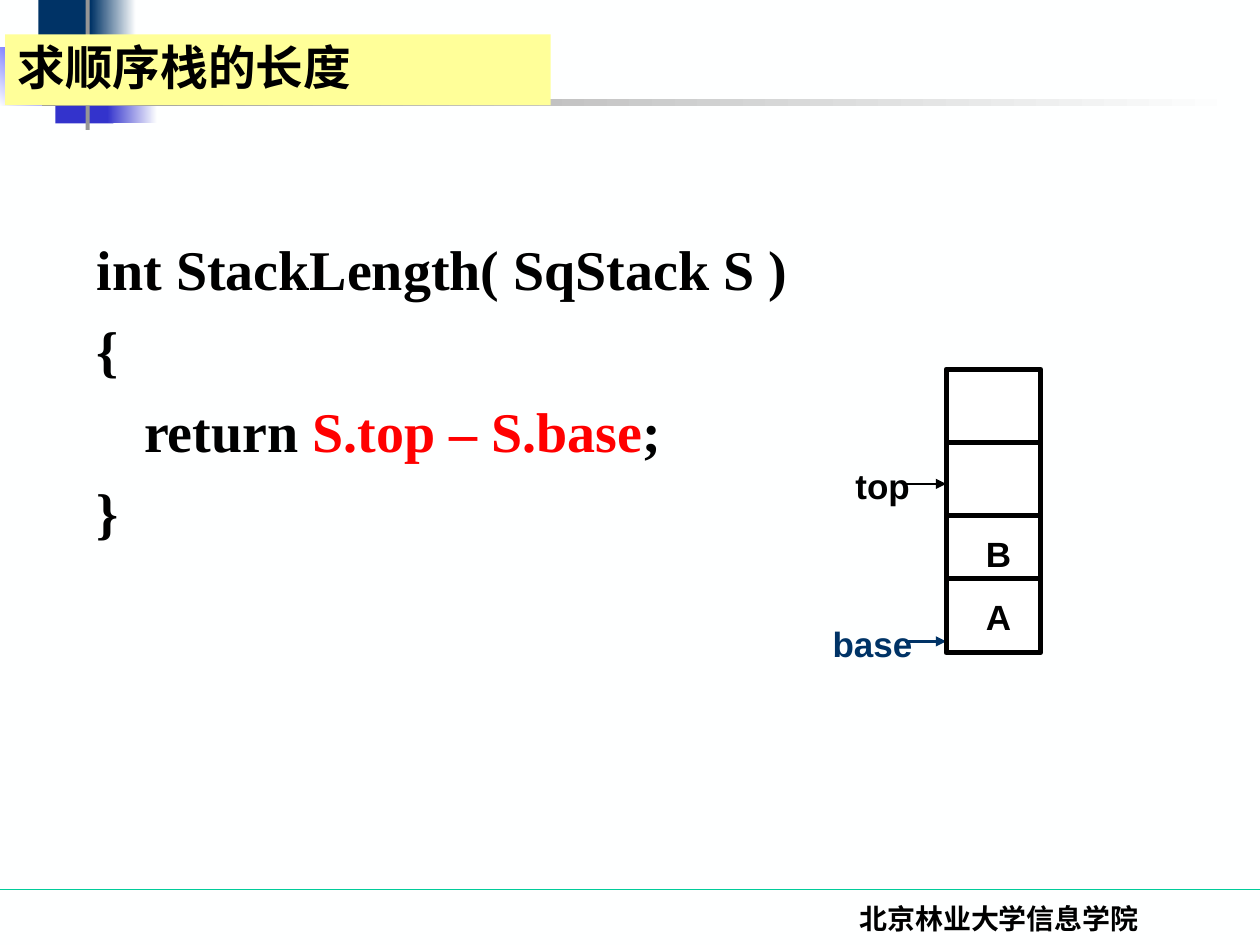
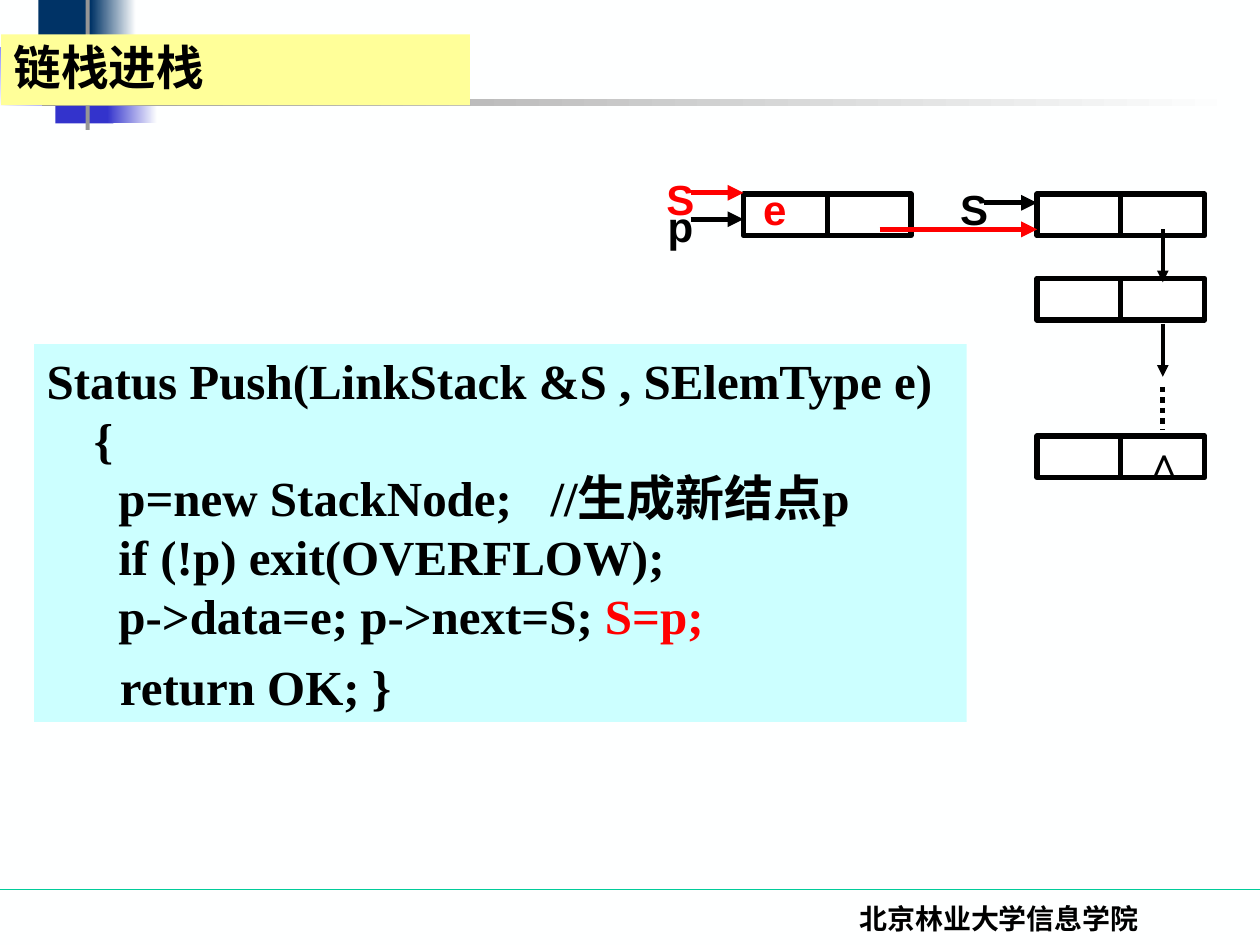
from dataclasses import dataclass

from lxml.etree import SubElement as Sub
from pptx import Presentation
from pptx.dml.color import RGBColor as Rgb
from pptx.enum.dml import MSO_LINE as Dash
from pptx.enum.shapes import MSO_CONNECTOR as Conn, MSO_SHAPE as Geo
from pptx.enum.text import MSO_ANCHOR as Anchor, PP_ALIGN as Align
from pptx.oxml.ns import qn
from pptx.util import Pt


@dataclass(frozen=True)
class Theme:
    paper: str = "FEFFFF"
    white: str = "FFFFFF"
    ink: str = "000000"
    red: str = "FF0000"
    navy: str = "003366"
    blue: str = "3333CC"
    glow: str = "0000FF"
    gray: str = "969696"
    green: str = "00CC99"
    title: str = "FFFF99"
    panel: str = "CCFFFF"
    sans: str = "Arial"
    serif: str = "Times New Roman"
    han: str = "Noto Sans CJK SC"
    head: float = 27.2
    foot: float = 16
    cell: float = 20
    node: float = 24
    thick: float = 3


T = Theme()
INDENT = 27


# Basic parts

def rect(slide, x, y, w, h, fill, end=None, angle=0, edge=None):
    """Rectangle with a plain fill, or a gradient when end is given."""
    shape = slide.shapes.add_shape(Geo.RECTANGLE, Pt(x), Pt(y), Pt(w), Pt(h))
    shape.shadow.inherit = False
    if end:
        shape.fill.gradient()
        shape.fill.gradient_angle = angle
        for stop, color in zip(shape.fill.gradient_stops, (fill, end)):
            stop.color.rgb = Rgb.from_string(color)
    else:
        shape.fill.solid()
        shape.fill.fore_color.rgb = Rgb.from_string(fill)
    if edge:
        shape.line.color.rgb = Rgb.from_string(edge)
        shape.line.width = Pt(T.thick)
    else:
        shape.line.fill.background()
    return shape


def rule(slide, x1, y1, x2, y2, color=T.ink, width=T.thick, arrow=False, dash=None):
    line = slide.shapes.add_connector(Conn.STRAIGHT, Pt(x1), Pt(y1), Pt(x2), Pt(y2))
    line.line.color.rgb = Rgb.from_string(color)
    line.line.width = Pt(width)
    if dash:
        line.line.dash_style = dash
    props = line.element.spPr
    if arrow:
        Sub(props.find(qn("a:ln")), qn("a:tailEnd"), type="triangle")
    Sub(props, qn("a:effectLst"))


def add_run(para, text, size, face, color=T.ink):
    run = para.add_run()
    run.text = text
    font = run.font
    font.size, font.bold = Pt(size), True
    font.color.rgb = Rgb.from_string(color)
    font.name = face
    if any("一" <= char <= "鿿" for char in text):
        Sub(run.font._element, qn("a:ea"), typeface=T.han)


def label(slide, x, y, w, h, text, size, face=T.sans, color=T.ink):
    """Centred one-line text box."""
    frame = slide.shapes.add_textbox(Pt(x), Pt(y), Pt(w), Pt(h)).text_frame
    frame.word_wrap = True
    para = frame.paragraphs[0]
    para.alignment = Align.CENTER
    add_run(para, text, size, face, color)


def code(shape, lines, size):
    """Each line is (indent, space before, tab stop, runs)."""
    frame = shape.text_frame
    frame.word_wrap = True
    frame.vertical_anchor = Anchor.TOP
    for num, (indent, before, tab, runs) in enumerate(lines):
        para = frame.add_paragraph() if num else frame.paragraphs[0]
        para.alignment = Align.LEFT
        para.space_before = Pt(before)
        props = para._p.get_or_add_pPr()
        props.set("marL", "0")
        props.set("indent", str(Pt(indent)))
        if tab:
            stops = Sub(props, qn("a:tabLst"))
            Sub(stops, qn("a:tab"), pos=str(Pt(tab)), algn="l")
        for text, color in runs:
            add_run(para, text, size, T.serif, color)


# Shared frame of a slide

def add_base(deck, title, x, w):
    slide = deck.slides.add_slide(deck.slide_layouts[6])
    back = slide.background.fill
    back.solid()
    back.fore_color.rgb = Rgb.from_string(T.paper)
    rule(slide, 0, 508.3, 720, 508.3, T.green, 0.75)
    # Corner blocks and the bar under the title
    rect(slide, 22, 0, 34.6, 37.4, T.navy)
    rect(slide, 51.8, 0, 25.9, 37.4, T.navy, T.paper)
    rect(slide, 31.7, 33.1, 33.1, 37.4, T.blue)
    rect(slide, 61.2, 33.1, 28.8, 37.4, T.blue, T.paper)
    rect(slide, -0.7, 27.4, 43.9, 33.1, T.paper, T.glow, 45)
    rect(slide, 49, -8.6, 2.2, 82.8, T.gray)
    rect(slide, 23.8, 56.5, 684.7, 4.1, T.gray, T.paper)
    # Footer
    label(slide, 421.9, 511.9, 298, 36, "北京林业大学信息学院", T.foot, T.serif)
    # Title band
    band = rect(slide, x, 19.6, w, 40.5, T.title)
    frame = band.text_frame
    frame.word_wrap = True
    frame.vertical_anchor = Anchor.MIDDLE
    para = frame.paragraphs[0]
    para.alignment = Align.LEFT
    para.line_spacing = 0.9
    add_run(para, title, T.head, T.han)
    return slide


# Array stack with its two pointers

def draw_stack(slide, x, y, w, h):
    for name, left, tip, color in (("base", -90, 155.5, T.navy),
                                   ("top", -84.2, 65.5, T.ink)):
        label(slide, x + left, y + tip - 14.4, 95.8, 31.7, name, T.cell, color=color)
        rule(slide, x - 23.8, y + tip, x, y + tip, color, 1.5, arrow=True)
    rect(slide, x, y, w, h, T.white, edge=T.ink)
    for split in (41.8, 83.5, 119.5):
        rule(slide, x, y + split, x + w, y + split)
    for row, name in enumerate("BA"):
        label(slide, x + 5.8, y + 90 + 36 * row, 48.2, 31.7, name, T.cell)


# Linked stack, placed from the top left of the new node

def tag(slide, x, y, text, color=T.ink):
    label(slide, x, y, 36, 36, text, T.node, color=color)


def point(slide, x, y, name, color=T.ink):
    """Named arrow whose tip is at x, y."""
    rule(slide, x - 30.2, y, x, y, color, arrow=True)
    tag(slide, x - 54, y - 14.4, name, color)


def draw_chain(slide, x, y, w, h):
    col = x + 167.8
    for left, top in ((x, 0), (col, 0), (col, 48.2), (col, 138.2)):
        rect(slide, left, y + top, w, h, T.white, edge=T.ink)
        rule(slide, left + w / 2, y + top, left + w / 2, y + top + h)
    # Links down the chain
    link = col + w * 0.75
    for top in (20.2, 74.2):
        rule(slide, link, y + top, link, y + top + 30.2, width=2.25, arrow=True)
    rule(slide, link, y + 110.2, link, y + 134.6, dash=Dash.ROUND_DOT)
    tag(slide, col + 54, y + 134.6, "∧")
    # Pointers and the new link
    point(slide, x, y + 14.4, "p")
    point(slide, col, y + 5, "S")
    rule(slide, x + 77.8, y + 20.2, col, y + 20.2, T.red, arrow=True)
    tag(slide, x, y - 9.4, "e", T.red)
    point(slide, x, y - 0.7, "S", T.red)


# Slides

def length_slide(deck):
    slide = add_base(deck, "求顺序栈的长度", 2.9, 311.8)
    box = slide.shapes.add_textbox(Pt(48.2), Pt(130.3), Pt(504.7), Pt(185))
    code(box, [
        (0, 0, None, [("int StackLength( SqStack S )", T.ink)]),
        (0, 8, None, [("{", T.ink)]),
        (INDENT, 8, None, [("return ", T.ink), ("S.top – S.base", T.red), (";", T.ink)]),
        (0, 8, None, [("}", T.ink)]),
    ], 32)
    draw_stack(slide, 540.7, 211, 54, 162)


def push_slide(deck):
    slide = add_base(deck, "链栈进栈", 0.7, 267.8)
    panel = rect(slide, 19.6, 196.6, 532.8, 216, T.panel)
    code(panel, [
        (0, 0, None, [("Status Push(LinkStack &S , SElemType e)", T.ink)]),
        (INDENT, 0, None, [("{", T.ink)]),
        (INDENT, 0, 307.6, [("  p=new StackNode;\t//生成新结点p", T.ink)]),
        (INDENT, 0, None, [("  if (!p) exit(OVERFLOW);", T.ink)]),
        (INDENT, 0, None, [("  p->data=e; p->next=S;", T.ink), (" S=p;", T.red)]),
        (0, 7, None, [("      return OK; }", T.ink)]),
    ], 28)
    draw_chain(slide, 424.8, 110.9, 95.8, 23.8)


def main():
    deck = Presentation()
    deck.slide_width, deck.slide_height = Pt(720), Pt(540)
    length_slide(deck)
    push_slide(deck)
    deck.save("out.pptx")


if __name__ == "__main__":
    main()
